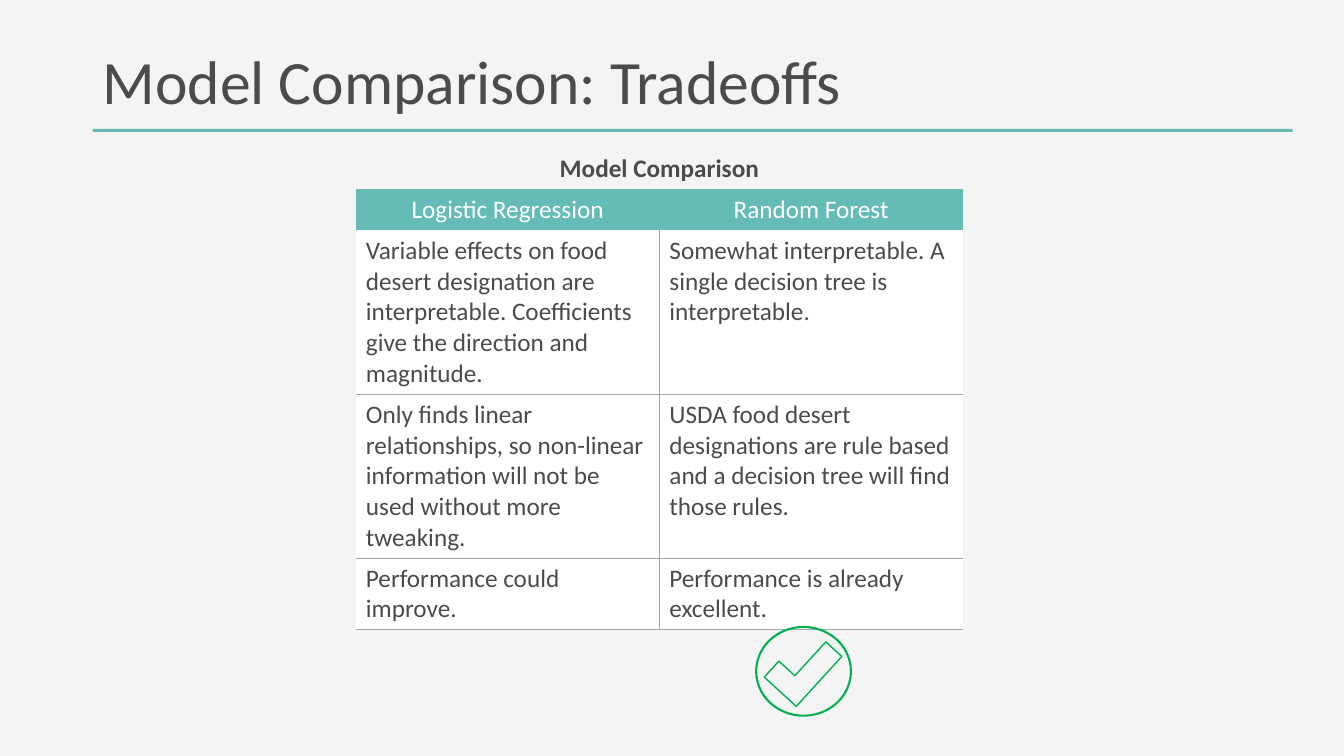
from dataclasses import dataclass

from lxml import etree
from pptx import Presentation
from pptx.dml.color import RGBColor
from pptx.enum import shapes, text
from pptx.oxml import ns
from pptx.util import Inches, Pt


@dataclass(frozen=True)
class Theme:
    font: str = "Calibri"
    background: str = "F4F4F4"
    ink: str = "4B4B4B"
    accent: str = "65BBB5"
    paper: str = "FFFFFF"
    grid: str = "A5A5A5"
    check: str = "00B050"
    title_size: int = 44
    table_size: int = 18


THEME = Theme()
CAPTION = "Model Comparison"
MODELS = ["Logistic Regression", "Random Forest"]
TRADEOFFS = [
    ["Variable effects on food desert designation are interpretable. "
     "Coefficients give the direction and magnitude.",
     "Somewhat interpretable. A single decision tree is interpretable."],
    ["Only finds linear relationships, so non-linear information will not be "
     "used without more tweaking.",
     "USDA food desert designations are rule based and a decision tree will "
     "find those rules."],
    ["Performance could improve.", "Performance is already excellent."],
]
ROW_HEIGHTS = [0.4, 0.41, 1.62, 1.62, 0.71]


def set_all(target, values):
    for name, value in values.items():
        setattr(target, name, value)


def place(shape, left, top, width, height):
    names = ("left", "top", "width", "height")
    set_all(shape, dict(zip(names, map(Inches, (left, top, width, height)))))


def paint(fill, color):
    fill.solid()
    fill.fore_color.rgb = RGBColor.from_string(color)


def write(frame, words, size, color, align=text.PP_ALIGN.LEFT, bold=False):
    frame.text = words
    paragraph = frame.paragraphs[0]
    paragraph.alignment = align
    set_all(paragraph.runs[0].font,
            {"name": THEME.font, "size": Pt(size), "bold": bold})
    paragraph.runs[0].font.color.rgb = RGBColor.from_string(color)
    return paragraph


def add_title(slide, words):
    title = slide.shapes.title
    place(title, 0.92, 0.4, 11.5, 0.88)
    set_all(title.text_frame, {"vertical_anchor": text.MSO_ANCHOR.MIDDLE,
                               "word_wrap": True})
    write(title.text_frame, words, THEME.title_size, THEME.ink).line_spacing = 0.9


def add_preset(slide, preset, box, fill=None, line=None, width=1, rotation=0):
    shape = slide.shapes.add_shape(preset, *map(Inches, box))
    shape.shadow.inherit = False
    shape.rotation = rotation
    if fill:
        paint(shape.fill, fill)
    else:
        shape.fill.background()
    if line:
        paint(shape.line.fill, line)
        shape.line.width = Pt(width)
    else:
        shape.line.fill.background()


def set_borders(cell, colors):
    """Draw the given sides (L, R, T, B) and leave the others bare."""
    properties = cell._tc.get_or_add_tcPr()
    for side in "LRTB":
        edge = etree.SubElement(properties, ns.qn(f"a:ln{side}"), w=str(Pt(0.75)))
        if side in colors:
            solid = etree.SubElement(edge, ns.qn("a:solidFill"))
            etree.SubElement(solid, ns.qn("a:srgbClr"), val=colors[side])
        else:
            etree.SubElement(edge, ns.qn("a:noFill"))


def fill_cell(cell, words, fill, color, borders, **style):
    set_borders(cell, borders)
    paint(cell.fill, fill)
    if words:
        write(cell.text_frame, words, THEME.table_size, color, **style)


def add_comparison(slide):
    frame = slide.shapes.add_table(len(ROW_HEIGHTS), len(MODELS), Inches(3.53),
                                   Inches(1.47), Inches(6.02),
                                   Inches(sum(ROW_HEIGHTS)))
    table = frame.table
    set_all(table, {"first_row": False, "horz_banding": False})
    for row, height in zip(table.rows, ROW_HEIGHTS):
        row.height = Inches(height)

    # Caption across both columns
    table.cell(0, 0).merge(table.cell(0, 1))
    center = text.PP_ALIGN.CENTER
    for col, words in enumerate([CAPTION, ""]):
        fill_cell(table.cell(0, col), words, THEME.background, THEME.ink, {},
                  align=center, bold=True)

    # Model names
    for col, model in enumerate(MODELS):
        fill_cell(table.cell(1, col), model, THEME.accent, THEME.paper,
                  {"B": THEME.paper}, align=center)

    # Tradeoffs, with a rule below each row and between the columns
    for row, pair in enumerate(TRADEOFFS, start=2):
        for col, tradeoff in enumerate(pair):
            borders = {"RL"[col]: THEME.grid, "B": THEME.grid,
                       "T": THEME.paper if row == 2 else THEME.grid}
            fill_cell(table.cell(row, col), tradeoff, THEME.paper, THEME.ink,
                      borders)


def add_check_mark(slide):
    preset = shapes.MSO_SHAPE
    add_preset(slide, preset.CORNER, (7.63, 6.4, 0.67, 0.43),
               line=THEME.check, rotation=312.4)
    add_preset(slide, preset.OVAL, (7.5, 6.22, 0.94, 0.88),
               line=THEME.check, width=1.5)


def main():
    deck = Presentation()
    set_all(deck, {"slide_width": Inches(13.33), "slide_height": Inches(7.5)})
    slide = deck.slides.add_slide(deck.slide_layouts.get_by_name("Title Only"))
    paint(slide.background.fill, THEME.background)

    # Heading and its rule
    add_title(slide, "Model Comparison: Tradeoffs")
    add_preset(slide, shapes.MSO_SHAPE.ROUNDED_RECTANGLE,
               (0.92, 1.28, 11.9, 0.03), fill=THEME.accent)

    # Comparison and the preferred model
    add_comparison(slide)
    add_check_mark(slide)
    deck.save("out.pptx")


if __name__ == "__main__":
    main()
